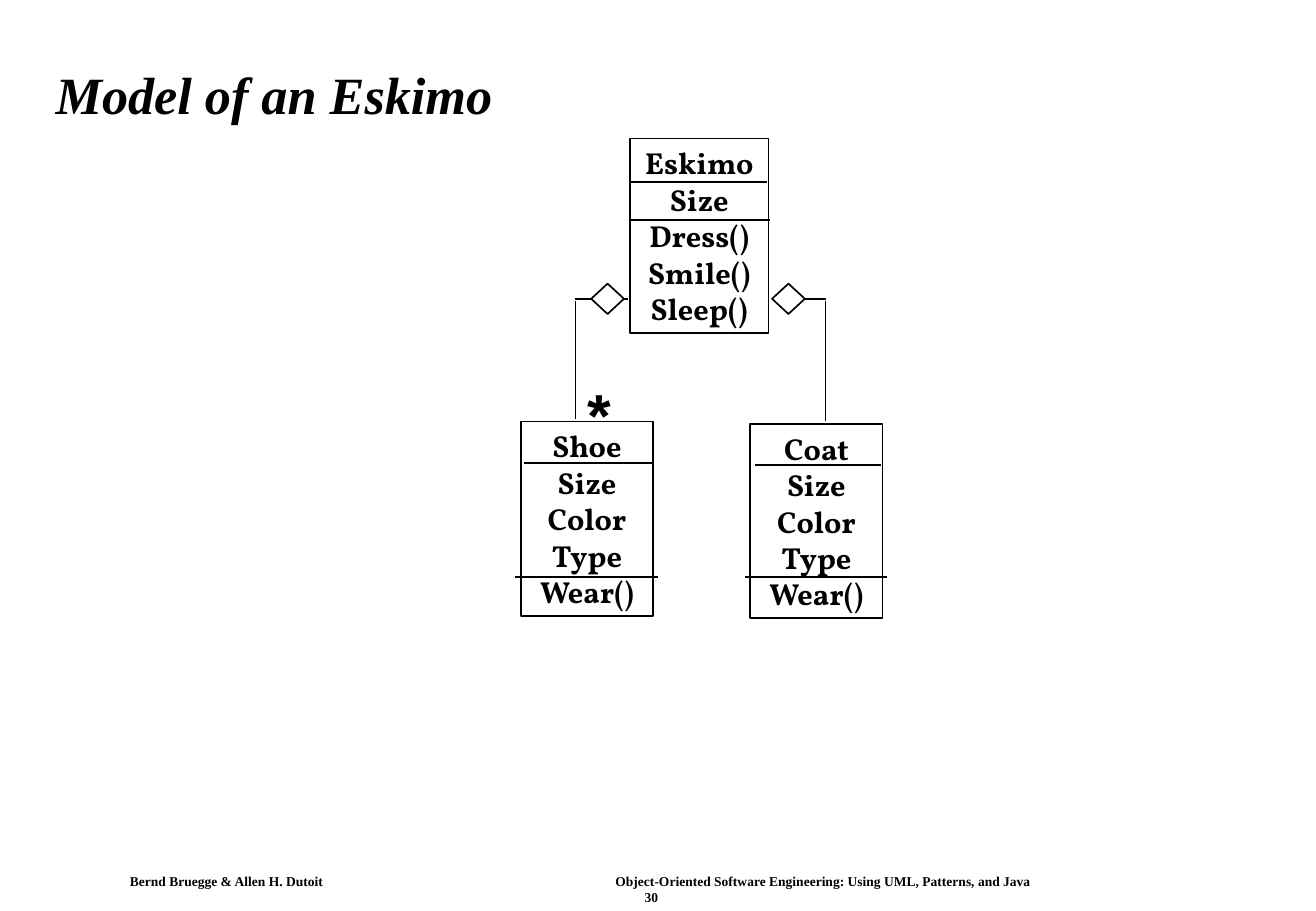
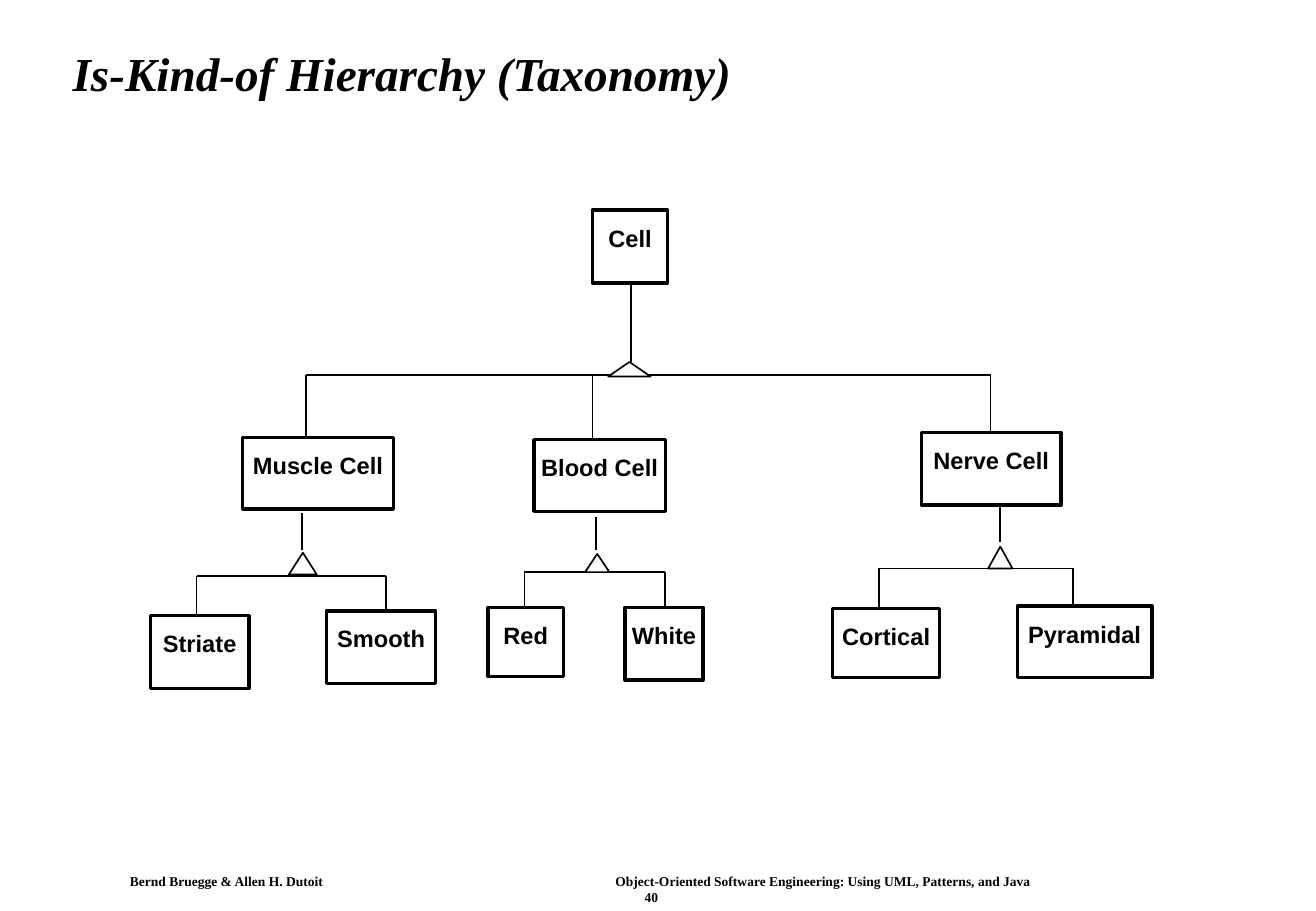
from lxml import etree
from pptx import Presentation
from pptx.dml.color import RGBColor
from pptx.enum.shapes import MSO_CONNECTOR, MSO_SHAPE
from pptx.enum.text import MSO_ANCHOR, PP_ALIGN
from pptx.oxml.ns import qn
from pptx.util import Inches, Pt

STRAIGHT = MSO_CONNECTOR.STRAIGHT
RECTANGLE, DIAMOND, TRIANGLE = MSO_SHAPE.RECTANGLE, MSO_SHAPE.DIAMOND, MSO_SHAPE.ISOSCELES_TRIANGLE
TOP, MIDDLE = MSO_ANCHOR.TOP, MSO_ANCHOR.MIDDLE
LEFT, CENTER = PP_ALIGN.LEFT, PP_ALIGN.CENTER

BLACK, WHITE = "000000", "FFFFFF"
TITLE_FONT = {"name": "Times New Roman", "bold": True, "italic": True}
FOOTER_FONT = {"name": "Times New Roman", "size": Pt(8), "bold": True}
CLASS_FONT = {"name": "Vollkorn", "size": Pt(18), "bold": True}
CELL_FONT = {"name": "Arial", "size": Pt(14), "bold": True}
STAR_FONT = {"name": "Arial", "size": Pt(36), "bold": True}

AUTHORS = "Bernd Bruegge & Allen H. Dutoit"
BOOK = "Object-Oriented Software Engineering: Using UML, Patterns, and Java"

ESKIMO = {"title": "Model of an Eskimo", "at": (0.36, 0.42), "size": 31, "number": "30"}
CLASSES = [
    {"at": (5.19, 1.14, 1.14, 1.6),
     "lines": ["Eskimo", "Size", "Dress()", "Smile()", "Sleep()"],
     "dividers": [(5.18, 6.32, 1.5), (5.2, 6.34, 1.81)]},
    {"at": (4.29, 3.47, 1.09, 1.6),
     "lines": ["Shoe", "Size", "Color", "Type", "Wear()"],
     "dividers": [(4.32, 5.37, 3.81), (4.24, 5.42, 4.75)]},
    {"at": (6.18, 3.49, 1.09, 1.6),
     "lines": ["Coat", "Size", "Color", "Type", "Wear()"],
     "dividers": [(6.22, 7.26, 3.83), (6.14, 7.31, 4.75)]},
]
AGGREGATION_Y = 2.46
DIAMOND_SIZE = (0.27, 0.25)
AGGREGATIONS = [
    {"whole_x": 5.17, "part_x": 4.74, "part_y": 3.45, "diamond_x": 4.87},
    {"whole_x": 6.36, "part_x": 6.8, "part_y": 3.47, "diamond_x": 6.36},
]
MANY = {"text": "*", "at": (4.74, 3.05, 0.39, 0.7)}

TAXONOMY = {"title": "Is-Kind-of Hierarchy (Taxonomy)", "at": (0.5, 0.24), "size": 28, "number": "40"}
CELLS = {
    "Cell": (4.88, 1.73, 0.62, 0.6),
    "Muscle Cell": (2, 3.6, 1.24, 0.59),
    "Blood Cell": (4.4, 3.62, 1.08, 0.59),
    "Nerve Cell": (7.59, 3.56, 1.15, 0.6),
    "Striate": (1.24, 5.07, 0.81, 0.6),
    "Smooth": (2.69, 5.03, 0.9, 0.6),
    "Red": (4.02, 5, 0.62, 0.57),
    "White": (5.15, 5, 0.64, 0.6),
    "Cortical": (6.86, 5.01, 0.88, 0.57),
    "Pyramidal": (8.38, 4.99, 1.11, 0.59),
}
KINDS = [
    {"stem": (5.2, 2.34, 2.98), "triangle": (5.01, 2.98, 0.35, 0.12), "bar_y": 3.09,
     "drops": {"Muscle Cell": 2.52, "Blood Cell": 4.88, "Nerve Cell": 8.16}},
    {"stem": (2.49, 4.22, 4.53), "triangle": (2.38, 4.55, 0.23, 0.18), "bar_y": 4.74,
     "drops": {"Striate": 1.62, "Smooth": 3.18}},
    {"stem": (4.91, 4.26, 4.53), "triangle": (4.82, 4.56, 0.2, 0.15), "bar_y": 4.71,
     "drops": {"Red": 4.32, "White": 5.48}},
    {"stem": (8.24, 4.15, 4.46), "triangle": (8.14, 4.5, 0.2, 0.18), "bar_y": 4.68,
     "drops": {"Cortical": 7.24, "Pyramidal": 8.84}},
]


def colour(value):
    return RGBColor.from_string(value)


def write(shape, lines, font, align=LEFT, anchor=TOP, wrap=False, insets=(0.1, 0.05), spacing=1.0):
    frame = shape.text_frame
    side, top = map(Inches, insets)
    layout = {"word_wrap": wrap, "vertical_anchor": anchor, "margin_left": side,
              "margin_right": side, "margin_top": top, "margin_bottom": Inches(0.05)}
    for name, value in layout.items():
        setattr(frame, name, value)
    for index, line in enumerate(lines):
        paragraph = frame.add_paragraph() if index else frame.paragraphs[0]
        paragraph.alignment = align
        paragraph.line_spacing = spacing
        run = paragraph.add_run()
        run.text = line
        for name, value in font.items():
            setattr(run.font, name, value)
        run.font.color.rgb = colour(BLACK)


def add_label(slide, at, text, font, **layout):
    write(slide.shapes.add_textbox(*map(Inches, at)), [text], font, **layout)


def add_outline(slide, kind, at, width=1, fill=None):
    shape = slide.shapes.add_shape(kind, *map(Inches, at))
    shape.shadow.inherit = False
    if fill:
        shape.fill.solid()
        shape.fill.fore_color.rgb = colour(fill)
    else:
        shape.fill.background()
    shape.line.color.rgb = colour(BLACK)
    shape.line.width = Pt(width)
    return shape


def add_line(slide, x1, y1, x2, y2):
    line = slide.shapes.add_connector(STRAIGHT, *map(Inches, (x1, y1, x2, y2)))
    line.line.color.rgb = colour(BLACK)
    line.line.width = Pt(1)
    etree.SubElement(line._element.spPr, qn("a:effectLst"))


def add_page(deck, page):
    slide = deck.slides.add_slide(deck.slide_layouts[6])
    footer = [(AUTHORS, 1.07, 7.19, 1.8), (BOOK, 5.07, 7.19, 3.6), (page["number"], 5.31, 7.32, 0.3)]
    for text, left, top, width in footer:
        add_label(slide, (left, top, width, 0.14), text, FOOTER_FONT, insets=(0, 0), wrap=True)
    add_label(slide, (*page["at"], 9.66, 0.77), page["title"],
              {**TITLE_FONT, "size": Pt(page["size"])}, anchor=MIDDLE, wrap=True, spacing=0.9)
    return slide


def build_eskimo(deck):
    slide = add_page(deck, ESKIMO)
    for item in CLASSES:
        write(add_outline(slide, RECTANGLE, item["at"]), item["lines"], CLASS_FONT, align=CENTER)
        for left, right, y in item["dividers"]:
            add_line(slide, left, y, right, y)
    width, height = DIAMOND_SIZE
    for link in AGGREGATIONS:
        add_line(slide, link["whole_x"], AGGREGATION_Y, link["part_x"], AGGREGATION_Y)
        add_line(slide, link["part_x"], AGGREGATION_Y + 0.02, link["part_x"], link["part_y"])
        add_outline(slide, DIAMOND, (link["diamond_x"], AGGREGATION_Y - height / 2, width, height), fill=WHITE)
    add_label(slide, MANY["at"], MANY["text"], STAR_FONT)


def build_taxonomy(deck):
    slide = add_page(deck, TAXONOMY)
    for name, at in CELLS.items():
        write(add_outline(slide, RECTANGLE, at, width=2), [name], CELL_FONT, align=CENTER, insets=(0.1, 0.11))
    for kind in KINDS:
        x, start, end = kind["stem"]
        drops, bar_y = kind["drops"], kind["bar_y"]
        add_line(slide, x, start, x, end)
        add_line(slide, min(drops.values()), bar_y, max(drops.values()), bar_y)
        for name, drop_x in drops.items():
            add_line(slide, drop_x, bar_y, drop_x, CELLS[name][1])
        add_outline(slide, TRIANGLE, kind["triangle"], fill=WHITE)


def main():
    deck = Presentation()
    deck.slide_width, deck.slide_height = Inches(10.84), Inches(7.5)
    build_eskimo(deck)
    build_taxonomy(deck)
    deck.save("out.pptx")


if __name__ == "__main__":
    main()
